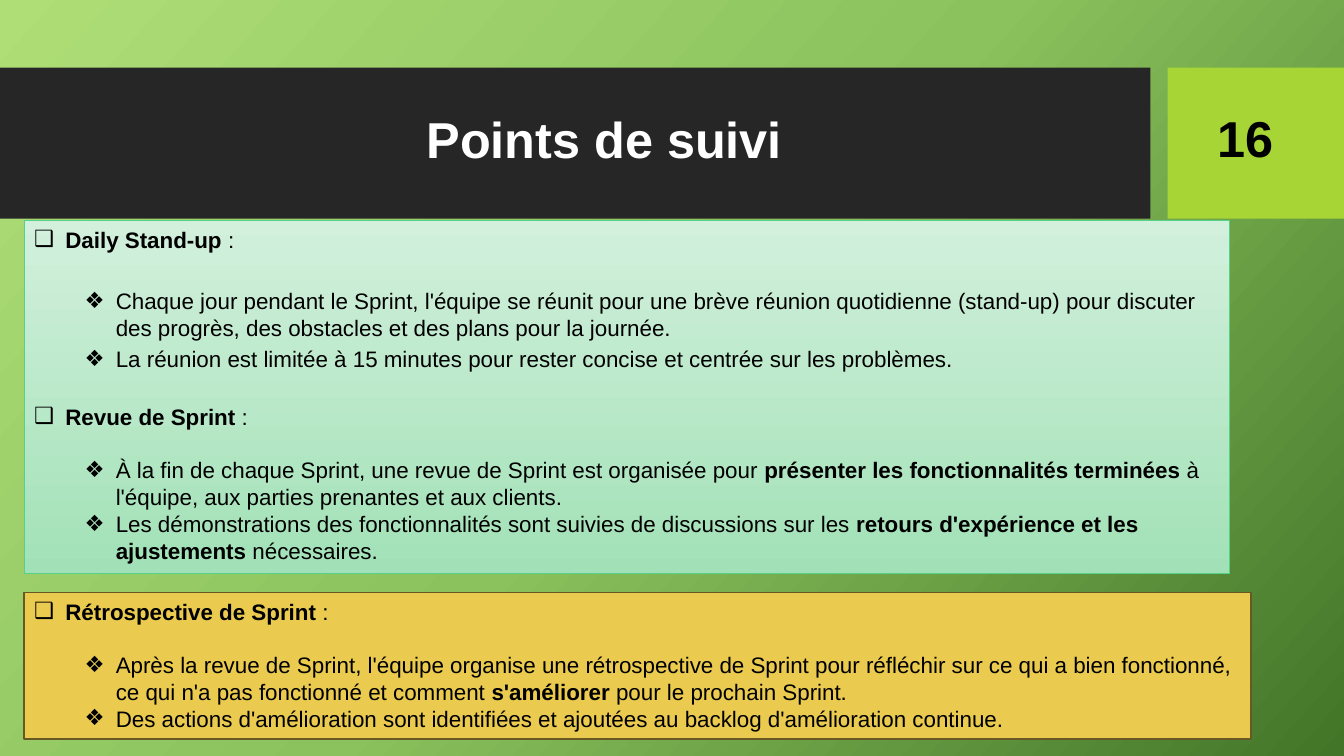
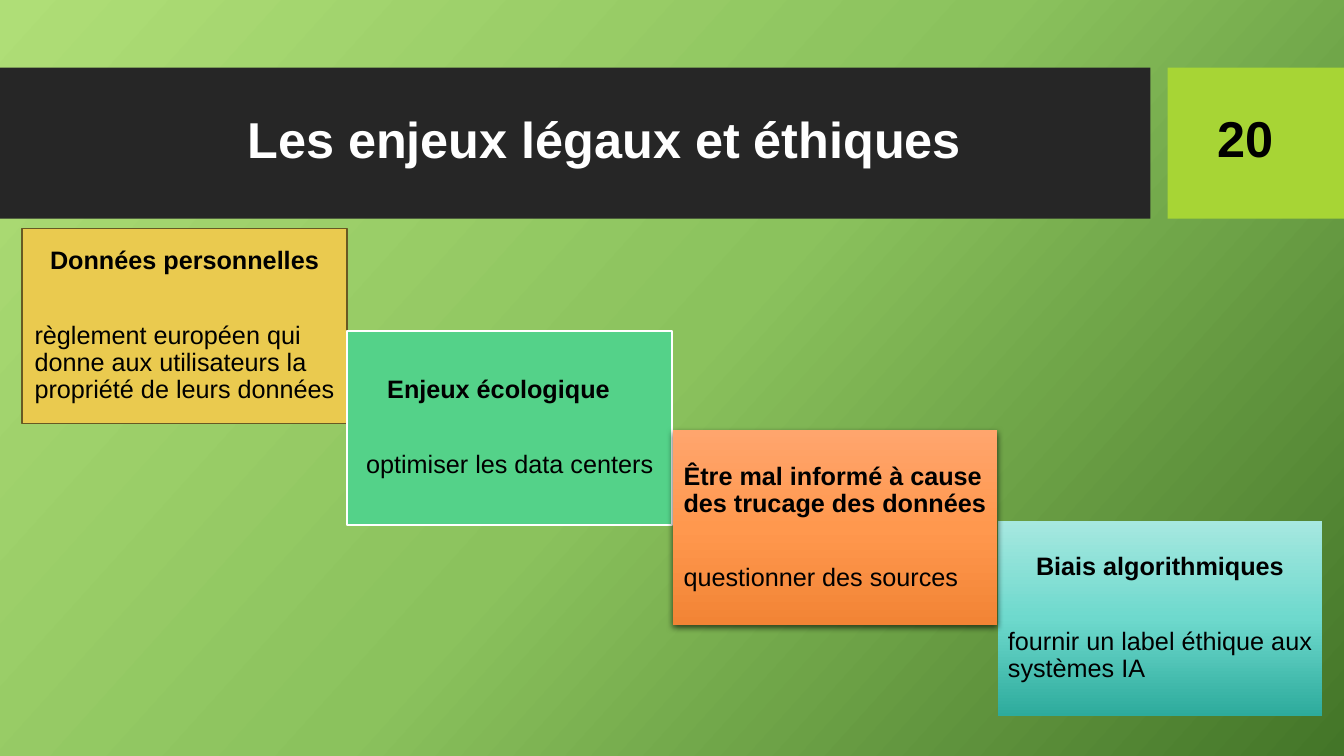
"""Build two French slides: sprint follow-up meetings and legal and ethical issues."""
from copy import deepcopy

from lxml import etree
from pptx import Presentation
from pptx import util as u
from pptx.dml.color import RGBColor
from pptx.enum import shapes, text
from pptx.oxml import ns

BLACK = RGBColor(0x00, 0x00, 0x00)
WHITE = RGBColor(0xFF, 0xFF, 0xFF)
CHARCOAL = RGBColor(0x26, 0x26, 0x26)
LIME = RGBColor(0xA7, 0xD5, 0x35)
GOLD = RGBColor(0xEA, 0xCA, 0x4F)
BROWN = RGBColor(0x67, 0x59, 0x23)
GREEN = RGBColor(0x54, 0xD2, 0x89)
MEADOW = [RGBColor(0xAF, 0xDE, 0x77), RGBColor(0x8B, 0xC2, 0x5D), RGBColor(0x43, 0x75, 0x28)]
MINT = [RGBColor(0xD2, 0xF0, 0xDC), RGBColor(0xA2, 0xE1, 0xB7)]
ORANGE = [RGBColor(0xFF, 0xA5, 0x6D), RGBColor(0xFF, 0x98, 0x4E), RGBColor(0xF2, 0x84, 0x35)]
TEAL = [RGBColor(0xA6, 0xE8, 0xE0), RGBColor(0x6E, 0xD9, 0xCD), RGBColor(0x2D, 0xAB, 0x9C)]
FONT = "Arial"
LEFT, CENTER = text.PP_ALIGN.LEFT, text.PP_ALIGN.CENTER
TOP, MIDDLE = text.MSO_ANCHOR.TOP, text.MSO_ANCHOR.MIDDLE


def paint(owner, fill, colors, angle=270):
    """Fill with one solid colour or an evenly spaced gradient."""
    if len(colors) == 1:
        fill.solid()
        fill.fore_color.rgb = colors[0]
        return
    fill.gradient()
    fill.gradient_angle = angle
    stops = owner.element.find(".//" + ns.qn("a:gsLst"))
    while len(stops) < len(colors):
        stops.append(deepcopy(stops[0]))
    for i, (stop, color) in enumerate(zip(fill.gradient_stops, colors)):
        stop.position = i / (len(colors) - 1)
        stop.color.rgb = color


def write(slide, box, paragraphs, colors=(), line=None, width=1, size=16, color=BLACK,
          anchor=TOP, spacing=None, inset=None):
    """Place a box whose paragraphs are (text, format) pairs; asterisks enclose bold words."""
    place = [u.Inches(v) for v in box]
    if colors:
        shape = slide.shapes.add_shape(shapes.MSO_SHAPE.RECTANGLE, *place)
        shape.shadow.inherit = False
        paint(shape, shape.fill, colors)
        if line is None:
            shape.line.fill.background()
        else:
            shape.line.color.rgb = line
            shape.line.width = u.Pt(width)
    else:
        shape = slide.shapes.add_textbox(*place)
    frame = shape.text_frame
    frame.word_wrap = True
    frame.vertical_anchor = anchor
    if inset is not None:
        frame.margin_left = frame.margin_right = u.Inches(inset)
        frame.margin_top = frame.margin_bottom = u.Inches(inset)
    for i, (words, style) in enumerate(paragraphs):
        para = frame.add_paragraph() if i else frame.paragraphs[0]
        para.alignment = style.get("align", LEFT)
        para.line_spacing = spacing
        para.space_after = u.Pt(style.get("after", 0))
        props = para._p.get_or_add_pPr()
        props.set("marL", str(u.Inches(style.get("left", 0))))
        if "bullet" in style:
            props.set("indent", str(-u.Inches(0.31)))
            etree.SubElement(props, ns.qn("a:buFont")).set("typeface", FONT)
            etree.SubElement(props, ns.qn("a:buChar")).set("char", style["bullet"])
        for j, part in enumerate(words.split("*")):
            if part:
                run = para.add_run()
                run.text = part
                run.font.name = FONT
                run.font.size = u.Pt(size)
                run.font.bold = j % 2 == 1
                run.font.color.rgb = color
    return shape


prs = Presentation()
prs.slide_width, prs.slide_height = u.Inches(13.33), u.Inches(7.5)
paint(prs.slide_master, prs.slide_master.background.fill, MEADOW, 318)

slides = []
for title, number in [("Points de suivi", "16"), ("Les enjeux légaux et éthiques", "20")]:
    slide = prs.slides.add_slide(prs.slide_layouts[6])
    write(slide, (0, 0.67, 11.41, 1.5), [], [CHARCOAL])
    write(slide, (11.58, 0.67, 1.75, 1.5), [], [LIME])
    for box, words, color, spacing in [
        ((0.74, 0.82, 10.51, 1.18), title, WHITE, 0.9),
        ((11.77, 1.12, 1.17, 0.59), number, BLACK, 0.8),
    ]:
        write(slide, box, [(f"*{words}*", {"align": CENTER})], size=36, color=color,
              anchor=MIDDLE, spacing=spacing)
    slides.append(slide)
follow_up, issues = slides

heading = {"left": 0.31, "bullet": "❑", "after": 19}
detail = {"left": 0.81, "bullet": "❖"}
meetings = [
    ("*Daily Stand-up* :", heading | {"after": 25}),
    ("Chaque jour pendant le Sprint, l'équipe se réunit pour une brève réunion quotidienne "
     "(stand-up) pour discuter des progrès, des obstacles et des plans pour la journée.",
     detail | {"after": 2.8}),
    ("La réunion est limitée à 15 minutes pour rester concise et centrée sur les problèmes.",
     detail | {"after": 22}),
    ("*Revue de Sprint* :", heading),
    ("À la fin de chaque Sprint, une revue de Sprint est organisée pour *présenter les "
     "fonctionnalités terminées* à l'équipe, aux parties prenantes et aux clients.", detail),
    ("Les démonstrations des fonctionnalités sont suivies de discussions sur les *retours "
     "d'expérience et les ajustements* nécessaires.", detail),
]
retrospective = [
    ("*Rétrospective de Sprint* :", heading),
    ("Après la revue de Sprint, l'équipe organise une rétrospective de Sprint pour réfléchir "
     "sur ce qui a bien fonctionné, ce qui n'a pas fonctionné et comment *s'améliorer* pour "
     "le prochain Sprint.", detail),
    ("Des actions d'amélioration sont identifiées et ajoutées au backlog d'amélioration "
     "continue.", detail),
]
write(follow_up, (0.24, 2.19, 11.95, 3.5), meetings, MINT, GREEN, 0.75)
write(follow_up, (0.24, 5.88, 12.17, 1.45), retrospective, [GOLD], BROWN)

STEP_WIDTH, STEP_HEIGHT = 3.22, 1.93
steps = [
    (0, 2.27, "Données personnelles",
     "règlement européen qui donne aux utilisateurs la propriété de leurs données",
     {"align": CENTER}, [GOLD], BROWN, 1),
    (3, 5.17, "Biais algorithmiques", "fournir un label éthique aux systèmes IA",
     {"align": CENTER}, TEAL, None, 1),
    (1, 3.28, "Enjeux écologique", "optimiser les data centers",
     {"left": 0.21}, [GREEN], WHITE, 1.5),
    (2, 4.27, "Être mal informé à cause des trucage des données", "questionner des sources",
     {}, ORANGE, None, 1),
]
for column, top, issue, answer, style, colors, line, width in steps:
    step = write(issues, (0.22 + column * 3.225, top, STEP_WIDTH, STEP_HEIGHT),
                 [(f"*{issue}*", style | {"after": 33.5}), (answer, {"after": 7})],
                 colors, line, width, size=18, anchor=MIDDLE, spacing=0.9, inset=0.07)
    step.element.find(".//" + ns.qn("a:bodyPr")).set("anchorCtr", "1")

effects = step.element.find(".//" + ns.qn("a:effectLst"))
shadow = etree.SubElement(effects, ns.qn("a:outerShdw"), blurRad=str(u.Pt(4.5)),
                          dist=str(u.Pt(1.5)), dir="5400000", algn="ctr", rotWithShape="0")
shade = etree.SubElement(shadow, ns.qn("a:srgbClr"), val=str(BLACK))
etree.SubElement(shade, ns.qn("a:alpha"), val="63000")

prs.save("out.pptx")
